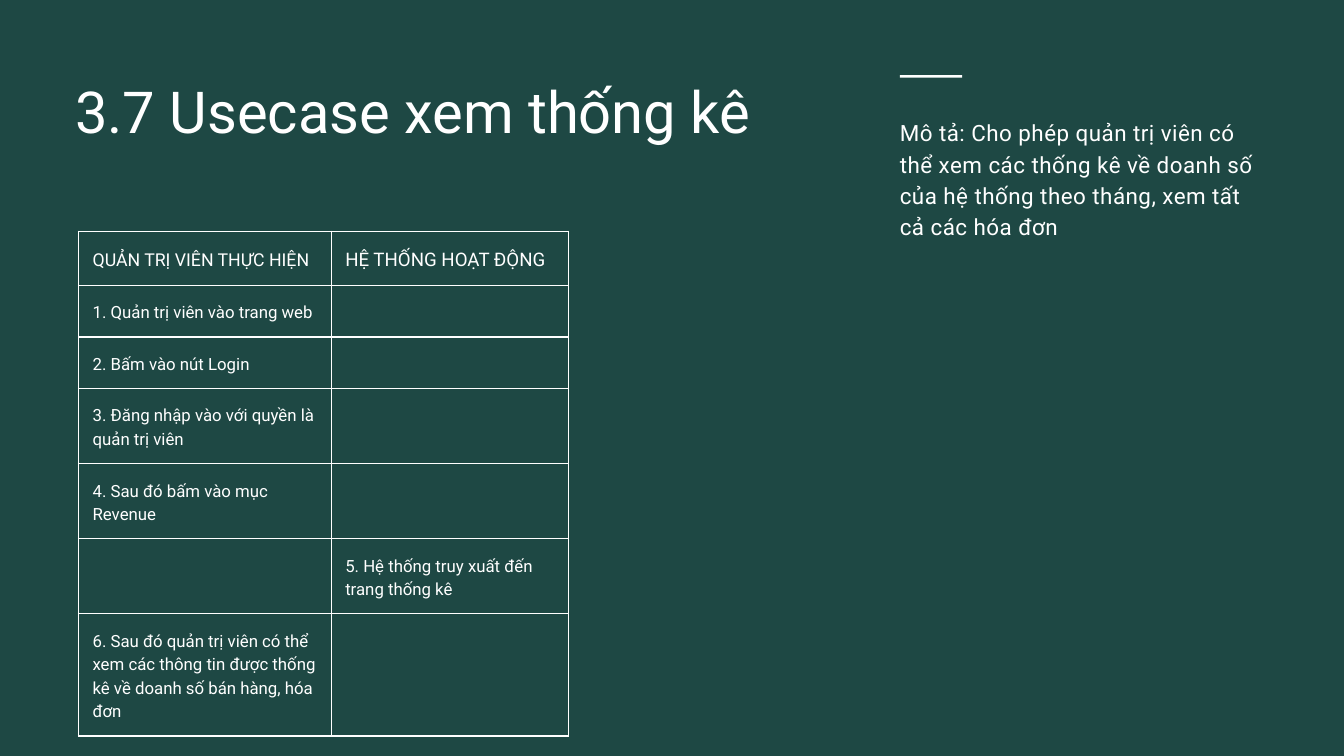
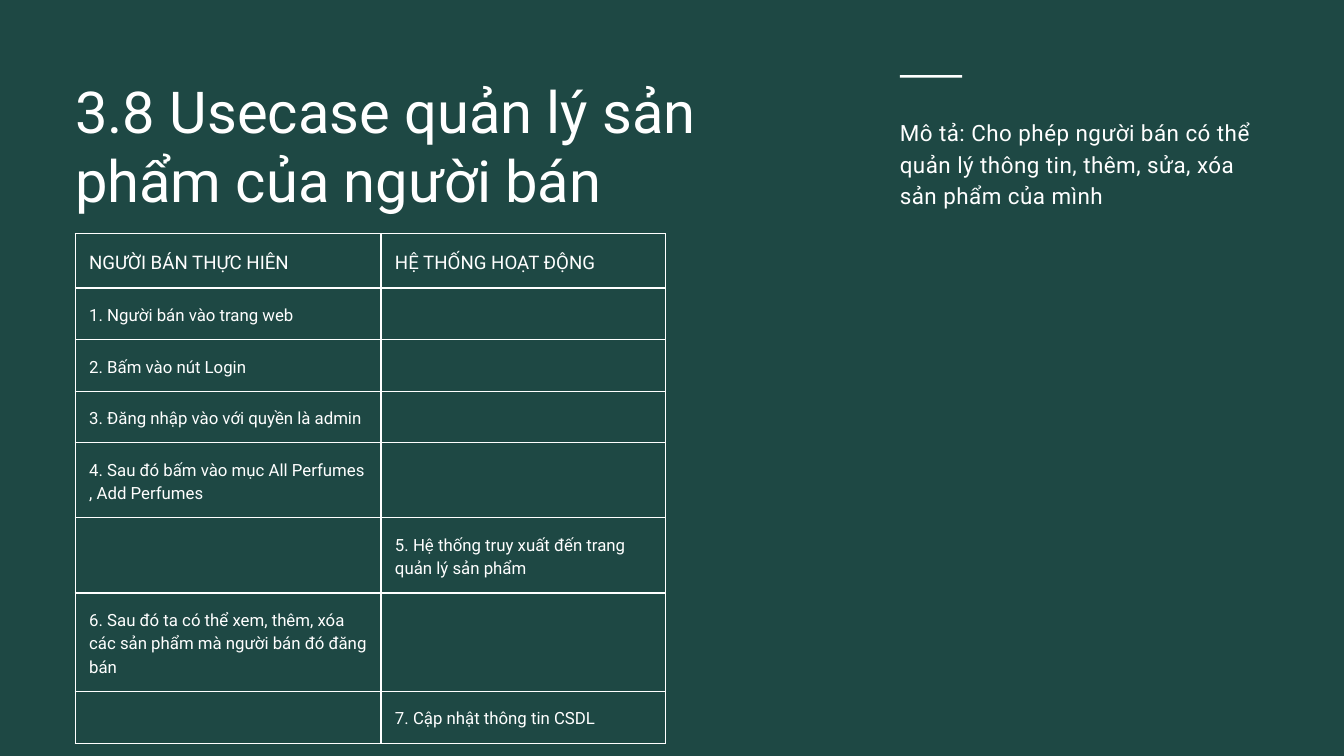
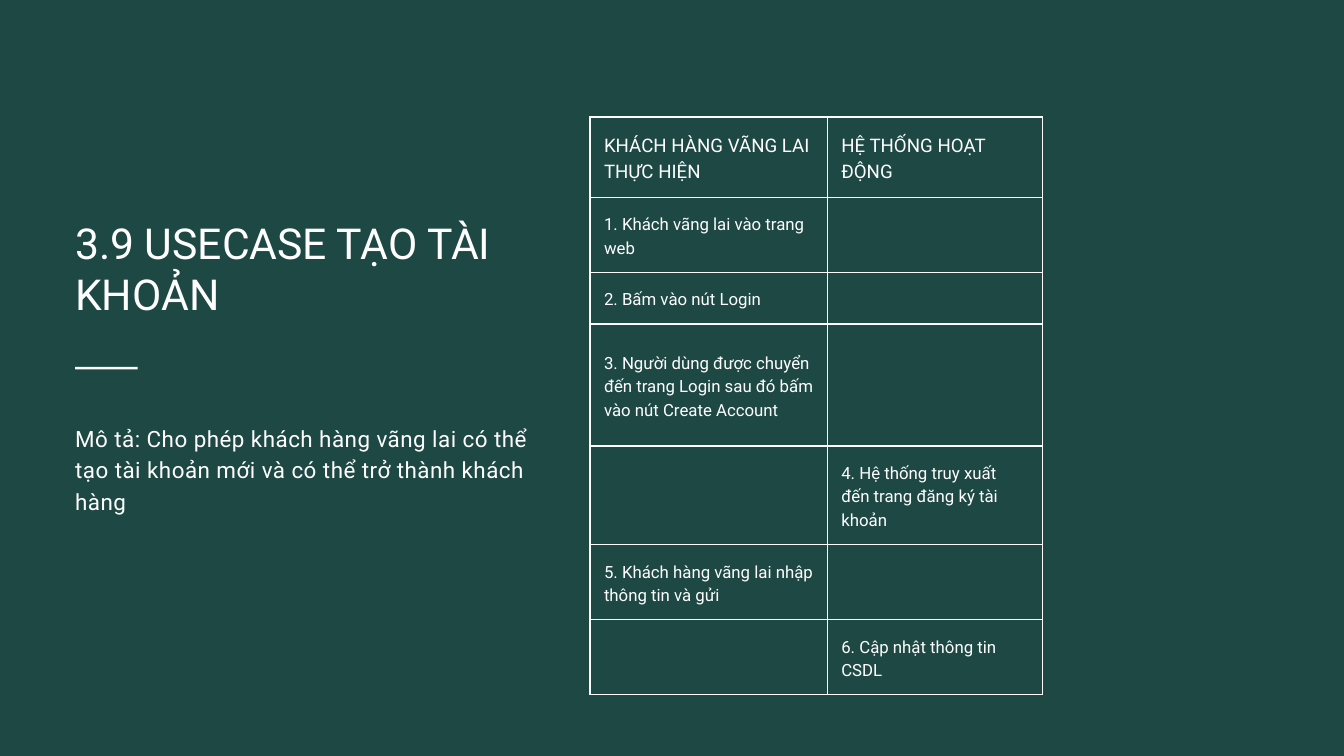
from dataclasses import dataclass

from lxml import etree
from pptx import Presentation
from pptx.dml.color import RGBColor
from pptx.enum.shapes import MSO_SHAPE as Preset
from pptx.enum.text import MSO_ANCHOR as Anchor, MSO_AUTO_SIZE as AutoSize, PP_ALIGN as Align
from pptx.oxml.ns import qn
from pptx.util import Cm, Pt

GREEN = "1E4844"
WHITE = "FFFFFF"
FONT = "Roboto"
MARGIN = 2.84
CELL_INSET = 0.53
POINT_CM = 2.54 / 72
HEADER_SIZE = 20
STEP_SIZE = 18
SYSTEM_HEADER = "HỆ THỐNG HOẠT ĐỘNG"
ACTOR, SYSTEM = 0, 1


@dataclass
class Box:
    """A region in centimetres."""
    left: float
    top: float
    width: float
    height: float = 0

    def inner(self, down, height):
        """Return a full-width region a given distance below the top."""
        return Box(self.left, self.top + down, self.width, height)

    def lengths(self):
        """Return the four lengths as Cm values."""
        return [Cm(v) for v in (self.left, self.top, self.width, self.height)]


def color(hex_code):
    """Turn a hex string into a colour."""
    return RGBColor.from_string(hex_code)


def write(frame, text, size, leading):
    """Write one left-aligned run with exact line spacing and return it."""
    paragraph = frame.paragraphs[0]
    paragraph.alignment = Align.LEFT
    paragraph.line_spacing = Pt(leading)
    paragraph.space_before = Pt(0)
    run = paragraph.add_run()
    run.text = text
    run.font.name = FONT
    run.font.size = Pt(size)
    run.font.color.rgb = color(WHITE)
    return run


def fill_placeholder(placeholder, box, text, size, leading):
    """Move a placeholder to its region, clear its insets and write its text."""
    placeholder.left, placeholder.top, placeholder.width, placeholder.height = box.lengths()
    frame = placeholder.text_frame
    frame.margin_left = frame.margin_top = frame.margin_right = frame.margin_bottom = 0
    frame.word_wrap = True
    frame.auto_size = AutoSize.NONE
    frame.vertical_anchor = Anchor.TOP
    return write(frame, text, size, leading)


def add_description(slide, box, text, gap):
    """Place the short rule and, a gap below it, the description."""
    rule = slide.shapes.add_shape(Preset.RECTANGLE, *Box(box.left, box.top, 2.36, 0.1).lengths())
    rule.shadow.inherit = False
    rule.fill.solid()
    rule.fill.fore_color.rgb = color(WHITE)
    rule.line.fill.background()
    body = slide.placeholders[1]
    properties = body.text_frame.paragraphs[0]._p.get_or_add_pPr()
    properties.set("marL", "0")
    properties.set("indent", "0")
    etree.SubElement(properties, qn("a:buNone"))
    run = fill_placeholder(body, box.inner(gap, box.height - gap), text, 24, 33.6)
    run._r.get_or_add_rPr().set("spc", "50")


def outline_cell(cell):
    """Give a cell white borders and no fill."""
    properties = cell._tc.get_or_add_tcPr()
    for side in ("lnL", "lnR", "lnT", "lnB"):
        border = etree.SubElement(properties, qn(f"a:{side}"), w=str(Pt(1.5)))
        paint = etree.SubElement(border, qn("a:solidFill"))
        etree.SubElement(paint, qn("a:srgbClr"), val=WHITE)
    cell.fill.background()


def write_cell(cell, text, size):
    """Write a table entry with its leading in proportion to its size."""
    cell.vertical_anchor = Anchor.MIDDLE
    cell.margin_left = cell.margin_right = cell.margin_top = cell.margin_bottom = Cm(CELL_INSET)
    write(cell.text_frame, text, size, size * 1.4)


def row_height(lines, size):
    """Return the height in centimetres of a row with that many lines."""
    return lines * size * 1.4 * POINT_CM + 2 * CELL_INSET


def add_flow(slide, box, widths, actor, steps, actor_size=HEADER_SIZE, header_lines=1):
    """Build the table of numbered steps, split between actor and system."""
    heights = [row_height(header_lines, HEADER_SIZE)]
    heights += [row_height(lines, STEP_SIZE) for _, lines, _ in steps]
    area = Box(box.left, box.top, sum(widths), sum(heights))
    flow = slide.shapes.add_table(len(heights), len(widths), *area.lengths()).table
    flow.first_row = flow.horz_banding = False
    for column, width in zip(flow.columns, widths):
        column.width = Cm(width)
    for row, height in zip(flow.rows, heights):
        row.height = Cm(height)
    for cell in flow.iter_cells():
        outline_cell(cell)
    write_cell(flow.cell(0, ACTOR), actor, actor_size)
    write_cell(flow.cell(0, SYSTEM), SYSTEM_HEADER, HEADER_SIZE)
    for number, (side, _, text) in enumerate(steps, 1):
        write_cell(flow.cell(number, side), f"{number}. {text}", STEP_SIZE)


def add_wide_slide(deck, title, title_lines, description, flow_box, **flow):
    """Build a slide with a large title over the table and a side description."""
    slide = deck.slides.add_slide(deck.slide_layouts[1])
    title_box = Box(MARGIN, MARGIN, 28.02, title_lines * 2.62)
    fill_placeholder(slide.shapes.title, title_box, title, 62, 74.4)
    add_description(slide, Box(34.01, MARGIN, 13.92, 7.27), description, 1.5)
    add_flow(slide, flow_box, **flow)


def add_split_slide(deck, title, description, flow_box, **flow):
    """Build a slide with title and description on the left, table on the right."""
    slide = deck.slides.add_slide(deck.slide_layouts[1])
    intro = Box(MARGIN, 8.2, 20.12, 12.3)
    fill_placeholder(slide.shapes.title, intro.inner(0, 3.86), title, 45.7, 54.8)
    add_description(slide, Box(MARGIN, intro.top + 5.67, 18.16, 6.63), description, 2.03)
    add_flow(slide, flow_box, **flow)


def main():
    """Build and save the deck."""
    deck = Presentation()
    deck.slide_width, deck.slide_height = Cm(50.8), Cm(28.58)
    background = deck.slide_master.background.fill
    background.solid()
    background.fore_color.rgb = color(GREEN)

    add_wide_slide(
        deck, "3.7 Usecase xem thống kê", 1,
        "Mô tả: Cho phép quản trị viên có thể xem các thống kê về doanh số "
        "của hệ thống theo tháng, xem tất cả các hóa đơn",
        Box(2.97, 8.74, 18.52), widths=(9.55, 8.97),
        actor="QUẢN TRỊ VIÊN THỰC HIỆN", actor_size=19,
        steps=[
            (ACTOR, 1, "Quản trị viên vào trang web"),
            (ACTOR, 1, "Bấm vào nút Login"),
            (ACTOR, 2, "Đăng nhập vào với quyền là quản trị viên"),
            (ACTOR, 2, "Sau đó bấm vào mục Revenue"),
            (SYSTEM, 2, "Hệ thống truy xuất đến trang thống kê"),
            (ACTOR, 4, "Sau đó quản trị viên có thể xem các thông tin được "
                       "thống kê về doanh số bán hàng, hóa đơn"),
        ])
    add_wide_slide(
        deck, "3.8 Usecase quản lý sản phẩm của người bán", 2,
        "Mô tả: Cho phép người bán có thể quản lý thông tin, thêm, sửa, xóa "
        "sản phẩm của mình",
        Box(MARGIN, 8.84, 22.3), widths=(11.56, 10.74),
        actor="NGƯỜI BÁN THỰC HIÊN",
        steps=[
            (ACTOR, 1, "Người bán vào trang web"),
            (ACTOR, 1, "Bấm vào nút Login"),
            (ACTOR, 1, "Đăng nhập vào với quyền là admin"),
            (ACTOR, 2, "Sau đó bấm vào mục All Perfumes , Add Perfumes"),
            (SYSTEM, 2, "Hệ thống truy xuất đến trang quản lý sản phẩm"),
            (ACTOR, 3, "Sau đó ta có thể xem, thêm, xóa các sản phẩm mà "
                       "người bán đó đăng bán"),
            (SYSTEM, 1, "Cập nhật thông tin CSDL"),
        ])
    add_split_slide(
        deck, "3.9 USECASE TẠO TÀI KHOẢN",
        "Mô tả: Cho phép khách hàng vãng lai có thể tạo tài khoản mới và có "
        "thể trở thành khách hàng",
        Box(22.3, 4.42, 17.1), widths=(8.97, 8.13),
        actor="KHÁCH HÀNG VÃNG LAI THỰC HIỆN", header_lines=2,
        steps=[
            (ACTOR, 2, "Khách vãng lai vào trang web"),
            (ACTOR, 1, "Bấm vào nút Login"),
            (ACTOR, 4, "Người dùng được chuyển đến trang Login sau đó bấm "
                       "vào nút Create Account"),
            (SYSTEM, 3, "Hệ thống truy xuất đến trang đăng ký tài khoản"),
            (ACTOR, 2, "Khách hàng vãng lai nhập thông tin và gửi"),
            (SYSTEM, 2, "Cập nhật thông tin CSDL"),
        ])
    deck.save("out.pptx")


if __name__ == "__main__":
    main()
